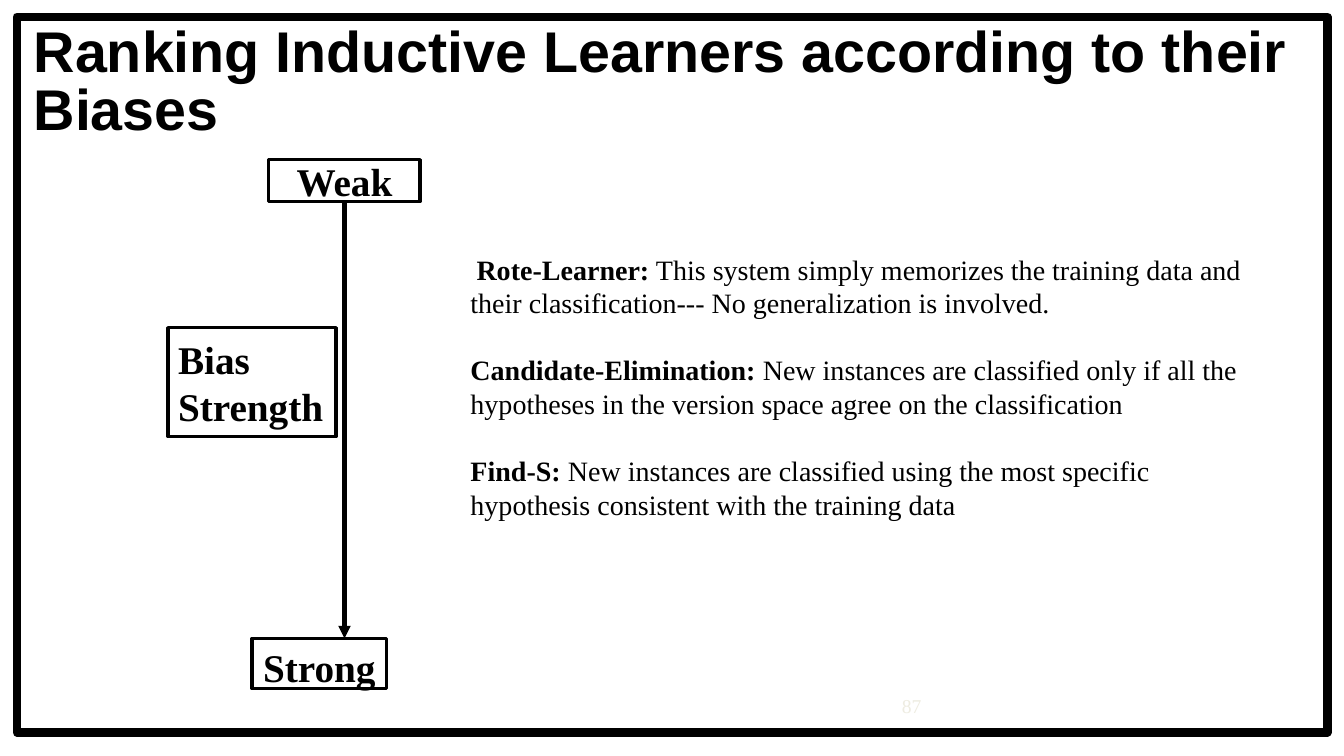
from pptx import Presentation
from pptx.dml.color import RGBColor
from pptx.enum.shapes import MSO_CONNECTOR, MSO_SHAPE
from pptx.enum.text import MSO_ANCHOR, PP_ALIGN
from pptx.util import Inches, Pt
from lxml import etree

RECT, STRAIGHT = MSO_SHAPE.RECTANGLE, MSO_CONNECTOR.STRAIGHT
LEFT, CENTER = PP_ALIGN.LEFT, PP_ALIGN.CENTER
TOP, MIDDLE = MSO_ANCHOR.TOP, MSO_ANCHOR.MIDDLE
THEME = {
    "ink": RGBColor(0, 0, 0), "faint": RGBColor(0xEE, 0xEC, 0xE1),
    "head": "Arial", "serif": "Times New Roman",
    "title": Pt(41), "label": Pt(28), "body": Pt(20), "number": Pt(14),
    "frame": Pt(6), "arrow": Pt(3), "box": Pt(2.25),
}
A = "http://schemas.openxmlformats.org/drawingml/2006/main"

# Grid of 160 columns by 90 rows, twelve to the inch
prs = Presentation()
prs.slide_width, prs.slide_height = Inches(13.33), Inches(7.5)
s = prs.slides.add_slide(prs.slide_layouts[6])


def grid(*cells):
    return [Inches(c / 12) for c in cells]


def write(sp, paragraphs, size, font="serif", color="ink", align=LEFT, anchor=TOP, inset=(0, 0)):
    """Fill a shape with paragraphs, each a list of (text, bold) runs."""
    tf = sp.text_frame
    tf.word_wrap, tf.vertical_anchor = True, anchor
    tf.margin_left, tf.margin_top = grid(*inset)
    tf.margin_right = tf.margin_bottom = 0
    for i, runs in enumerate(paragraphs):
        p = tf.add_paragraph() if i else tf.paragraphs[0]
        p.alignment = align
        for text, bold in runs:
            r = p.add_run()
            r.text = text
            r.font.name, r.font.size, r.font.bold = THEME[font], THEME[size], bold
            r.font.color.rgb = THEME[color]
    return tf


# Title
sp = s.shapes.add_textbox(*grid(4, 3, 153, 14))
tf = write(sp, [[("Ranking Inductive Learners according to their Biases", True)]], "title", "head")
tf.paragraphs[0].line_spacing = 0.85

# Learners, from weak to strong bias
learners = [
    ("Rote-Learner:", " This system simply memorizes the training data and "
     "their classification--- No generalization is involved."),
    ("Candidate-Elimination:", " New instances are classified only if all the "
     "hypotheses in the version space agree on the classification"),
    ("Find-S:", " New instances are classified using the most specific "
     "hypothesis consistent with the training data"),
]
sp = s.shapes.add_textbox(*grid(50, 30, 102, 32))
tf = write(sp, [[(name, True), (text, False)] for name, text in learners], "body")
for i, p in enumerate(tf.paragraphs):
    pPr = p._p.get_or_add_pPr()
    pPr.set("marL", str(Inches(0.5)))
    pPr.set("indent", str(0 if i else Inches(0.06)))
    if i:
        p.space_before = Pt(24)

# Bias strength arrow
ln = s.shapes.add_connector(STRAIGHT, *grid(41, 24, 41, 76))
ln.line.color.rgb, ln.line.width = THEME["ink"], THEME["arrow"]
etree.SubElement(ln.line._get_or_add_ln(), f"{{{A}}}tailEnd", type="triangle")
etree.SubElement(ln._element.spPr, f"{{{A}}}effectLst")

# Labelled boxes and the slide frame: cells, border, lines, alignment, inset
boxes = [
    ((20, 39, 20, 13), "box", ["Bias", "Strength"], LEFT, (1.2, 0)),
    ((32, 19, 18, 5), "box", ["Weak"], CENTER, (0, 0)),
    ((30, 76, 16, 6), "box", ["Strong"], CENTER, (0, 0.8)),
    ((2, 2, 156, 85.2), "frame", [], LEFT, (0, 0)),
]
for cells, border, lines, align, inset in boxes:
    sp = s.shapes.add_shape(RECT, *grid(*cells))
    sp.shadow.inherit = False
    sp.fill.background()
    sp.line.color.rgb, sp.line.width = THEME["ink"], THEME[border]
    write(sp, [[(text, True)] for text in lines], "label", align=align, anchor=MIDDLE, inset=inset)

# Slide number
sp = s.shapes.add_textbox(*grid(104, 82, 9, 4))
write(sp, [[("87", False)]], "number", color="faint", align=CENTER, anchor=MIDDLE)

prs.save("out.pptx")
